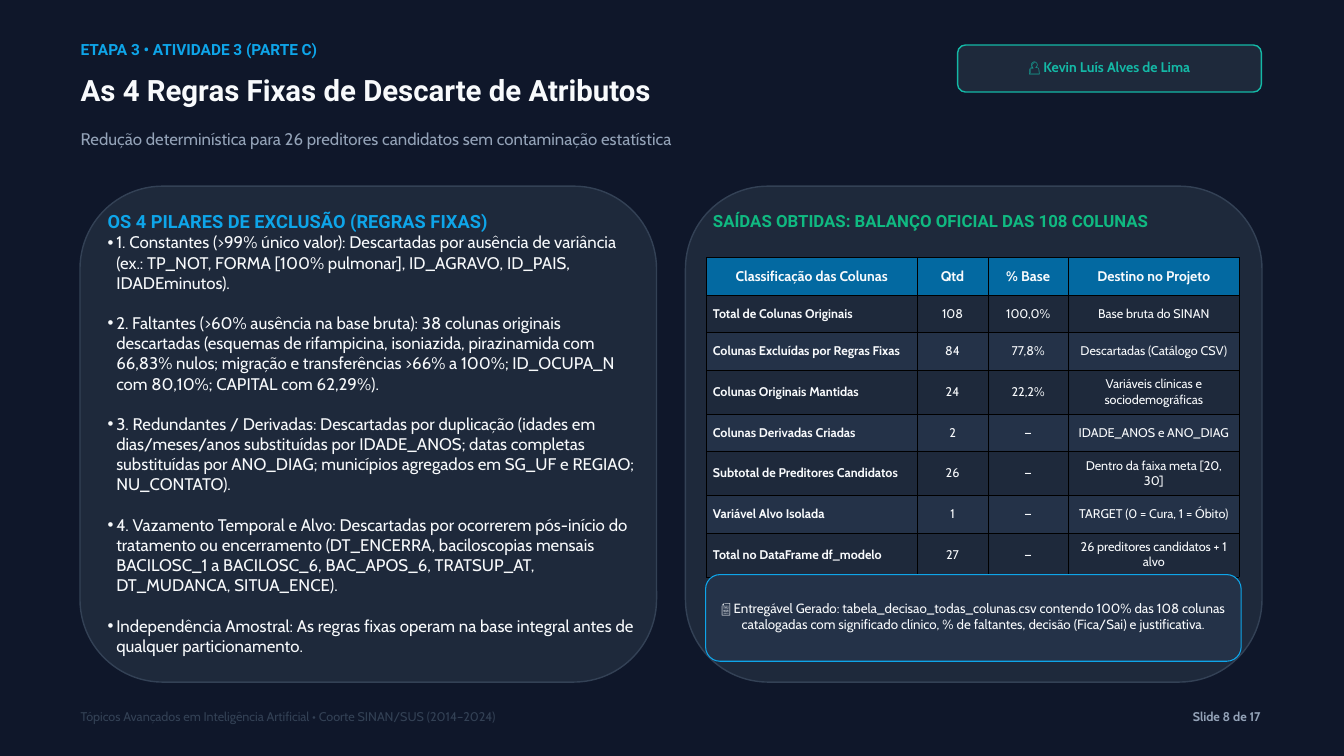
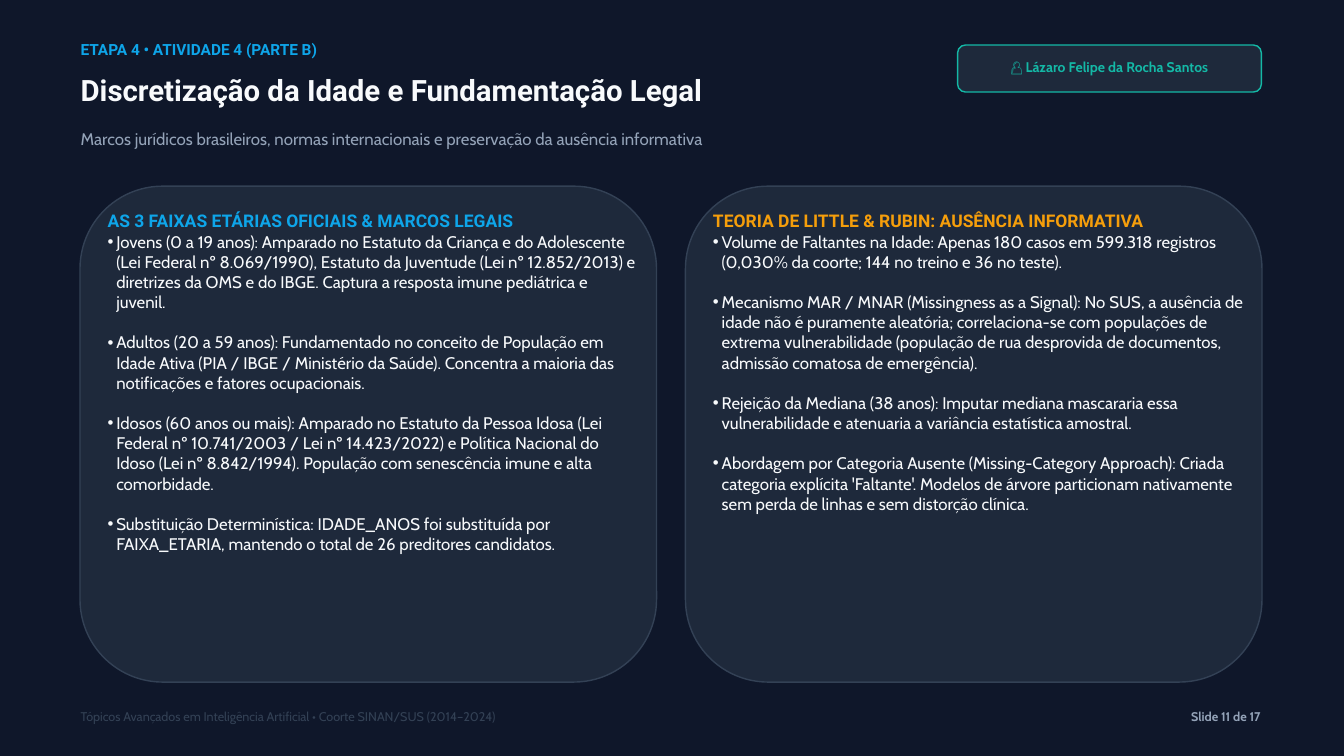
from lxml.etree import SubElement
from pptx import Presentation
from pptx.dml.color import RGBColor
from pptx.enum.shapes import MSO_SHAPE
from pptx.enum.text import MSO_ANCHOR, MSO_AUTO_SIZE, PP_ALIGN
from pptx.oxml.ns import qn
from pptx.util import Inches, Pt

COLORS = {
    "background": "0F172A",
    "card": "1E293B",
    "stripe": "243248",
    "outline": "334155",
    "header": "0369A1",
    "text": "F8FAFC",
    "muted": "94A3B8",
    "blue": "0EA5E9",
    "teal": "14B8A6",
    "green": "10B981",
    "amber": "F59E0B",
    "grid": "000000",
}
HEADING_FONT, BODY_FONT = "Roboto", "Cabin"
LINE_HEIGHT = 1.2
MARGIN = 1.2
CARD_LEFTS = (1.19, 10.2)
CARD_TOP, CARD_WIDTH, CARD_HEIGHT = 2.77, 8.58, 7.38
CARD_PADDING = 0.41
BULLET_INDENT = 0.13
TOTAL_SLIDES = 17

BALANCE_COLUMNS = (3.14, 1.05, 1.2, 2.54)
BALANCE_ROWS = [
    ("Classificação das Colunas", "Qtd", "% Base", "Destino no Projeto"),
    ("Total de Colunas Originais", "108", "100,0%", "Base bruta do SINAN"),
    ("Colunas Excluídas por Regras Fixas", "84", "77,8%", "Descartadas (Catálogo CSV)"),
    ("Colunas Originais Mantidas", "24", "22,2%", "Variáveis clínicas e sociodemográficas"),
    ("Colunas Derivadas Criadas", "2", "—", "IDADE_ANOS e ANO_DIAG"),
    ("Subtotal de Preditores Candidatos", "26", "—", "Dentro da faixa meta [20, 30]"),
    ("Variável Alvo Isolada", "1", "—", "TARGET (0 = Cura, 1 = Óbito)"),
    ("Total no DataFrame df_modelo", "27", "—", "26 preditores candidatos + 1 alvo"),
]
EXCLUSION_RULES = [
    "1. Constantes (>99% único valor): Descartadas por ausência de variância (ex.: TP_NOT, "
    "FORMA [100% pulmonar], ID_AGRAVO, ID_PAIS, IDADEminutos).",
    "2. Faltantes (>60% ausência na base bruta): 38 colunas originais descartadas (esquemas de "
    "rifampicina, isoniazida, pirazinamida com 66,83% nulos; migração e transferências >66% a "
    "100%; ID_OCUPA_N com 80,10%; CAPITAL com 62,29%).",
    "3. Redundantes / Derivadas: Descartadas por duplicação (idades em dias/meses/anos "
    "substituídas por IDADE_ANOS; datas completas substituídas por ANO_DIAG; municípios "
    "agregados em SG_UF e REGIAO; NU_CONTATO).",
    "4. Vazamento Temporal e Alvo: Descartadas por ocorrerem pós-início do tratamento ou "
    "encerramento (DT_ENCERRA, baciloscopias mensais BACILOSC_1 a BACILOSC_6, BAC_APOS_6, "
    "TRATSUP_AT, DT_MUDANCA, SITUA_ENCE).",
    "Independência Amostral: As regras fixas operam na base integral antes de qualquer "
    "particionamento.",
]
AGE_GROUPS = [
    "Jovens (0 a 19 anos): Amparado no Estatuto da Criança e do Adolescente (Lei Federal nº "
    "8.069/1990), Estatuto da Juventude (Lei nº 12.852/2013) e diretrizes da OMS e do IBGE. "
    "Captura a resposta imune pediátrica e juvenil.",
    "Adultos (20 a 59 anos): Fundamentado no conceito de População em Idade Ativa (PIA / IBGE / "
    "Ministério da Saúde). Concentra a maioria das notificações e fatores ocupacionais.",
    "Idosos (60 anos ou mais): Amparado no Estatuto da Pessoa Idosa (Lei Federal nº 10.741/2003 "
    "/ Lei nº 14.423/2022) e Política Nacional do Idoso (Lei nº 8.842/1994). População com "
    "senescência imune e alta comorbidade.",
    "Substituição Determinística: IDADE_ANOS foi substituída por FAIXA_ETARIA, mantendo o total "
    "de 26 preditores candidatos.",
]
MISSINGNESS = [
    "Volume de Faltantes na Idade: Apenas 180 casos em 599.318 registros (0,030% da coorte; 144 "
    "no treino e 36 no teste).",
    "Mecanismo MAR / MNAR (Missingness as a Signal): No SUS, a ausência de idade não é puramente "
    "aleatória; correlaciona-se com populações de extrema vulnerabilidade (população de rua "
    "desprovida de documentos, admissão comatosa de emergência).",
    "Rejeição da Mediana (38 anos): Imputar mediana mascararia essa vulnerabilidade e atenuaria "
    "a variância estatística amostral.",
    "Abordagem por Categoria Ausente (Missing-Category Approach): Criada categoria explícita "
    "'Faltante'. Modelos de árvore particionam nativamente sem perda de linhas e sem distorção "
    "clínica.",
]


def rgb(name):
    return RGBColor.from_string(COLORS[name])


def write(paragraph, text, size=18, color="text", font=BODY_FONT, bold=False,
          align=PP_ALIGN.LEFT, before=0):
    paragraph.alignment = align
    paragraph.line_spacing = Pt(size * LINE_HEIGHT)
    paragraph.space_before = Pt(before)
    run = paragraph.add_run()
    run.text = text
    run.font.size = Pt(size)
    run.font.name = font
    run.font.bold = bold
    run.font.color.rgb = rgb(color)


def set_bullet(paragraph, char=None):
    """Give the paragraph a hanging bullet, or none without a char."""
    properties = paragraph._p.get_or_add_pPr()
    indent = Inches(BULLET_INDENT) if char else 0
    properties.set("marL", str(indent))
    properties.set("indent", str(-indent))
    if char:
        SubElement(properties, qn("a:buChar")).set("char", char)
    else:
        SubElement(properties, qn("a:buNone"))


def place(shape, left, top, width, height):
    shape.left, shape.top = Inches(left), Inches(top)
    shape.width, shape.height = Inches(width), Inches(height)


def set_frame(frame, anchor=MSO_ANCHOR.TOP, insets=(0, 0, 0, 0)):
    frame.word_wrap = True
    frame.auto_size = MSO_AUTO_SIZE.NONE
    frame.vertical_anchor = anchor
    (frame.margin_left, frame.margin_top,
     frame.margin_right, frame.margin_bottom) = map(Inches, insets)


def add_label(slide, text, left, top, width, height, **style):
    label = slide.shapes.add_textbox(*map(Inches, (left, top, width, height)))
    set_frame(label.text_frame)
    write(label.text_frame.paragraphs[0], text, **style)


def add_panel(slide, left, top, width, height, fill, line, line_width=1.5):
    panel = slide.shapes.add_shape(MSO_SHAPE.ROUNDED_RECTANGLE,
                                   *map(Inches, (left, top, width, height)))
    panel.shadow.inherit = False
    panel.fill.solid()
    panel.fill.fore_color.rgb = rgb(fill)
    panel.line.color.rgb = rgb(line)
    panel.line.width = Pt(line_width)
    return panel


def add_captioned_panel(slide, text, *bounds, fill, line, line_width=1.5, **style):
    panel = add_panel(slide, *bounds, fill, line, line_width)
    set_frame(panel.text_frame, MSO_ANCHOR.MIDDLE, (0.06, 0.06, 0.06, 0.1))
    write(panel.text_frame.paragraphs[0], text, align=PP_ALIGN.CENTER, **style)


def fill_card(slide, side, heading, color, heading_size=18.75, items=()):
    """Draw the card on side 0 or 1 and put its heading and list on it."""
    left = CARD_LEFTS[side]
    card = add_panel(slide, left, CARD_TOP, CARD_WIDTH, CARD_HEIGHT, "card", "outline")
    slide.shapes.element.insert(2, card.element)  # behind the placeholders

    body = slide.placeholders[side + 1]
    place(body, left + CARD_PADDING, 3.13, 7.89, 6.45 if items else 0.5)
    frame = body.text_frame
    set_frame(frame)
    set_bullet(frame.paragraphs[0])
    write(frame.paragraphs[0], heading, size=heading_size, color=color,
          font=HEADING_FONT, bold=True)
    for number, item in enumerate(items):
        paragraph = frame.add_paragraph()
        set_bullet(paragraph, "•")
        write(paragraph, item, before=18 * LINE_HEIGHT if number else 0)


def set_borders(cell):
    properties = cell._tc.get_or_add_tcPr()
    for side in ("a:lnL", "a:lnR", "a:lnT", "a:lnB"):
        border = SubElement(properties, qn(side), w=str(Pt(0.37)))
        fill = SubElement(border, qn("a:solidFill"))
        SubElement(fill, qn("a:srgbClr"), val=COLORS["grid"])


def add_balance_table(slide):
    row_height = 0.56
    table = slide.shapes.add_table(
        len(BALANCE_ROWS), len(BALANCE_COLUMNS), Inches(10.51), Inches(3.83),
        Inches(sum(BALANCE_COLUMNS)), Inches(row_height * len(BALANCE_ROWS))).table
    table.horz_banding = False
    for column, width in zip(table.columns, BALANCE_COLUMNS):
        column.width = Inches(width)
    for r, values in enumerate(BALANCE_ROWS):
        table.rows[r].height = Inches(row_height)
        is_header = r == 0
        fill = "header" if is_header else "card" if r % 2 else "stripe"
        for c, value in enumerate(values):
            cell = table.cell(r, c)
            set_borders(cell)
            cell.fill.solid()
            cell.fill.fore_color.rgb = rgb(fill)
            cell.vertical_anchor = MSO_ANCHOR.MIDDLE
            cell.margin_left = cell.margin_right = Inches(0.1)
            cell.margin_top = cell.margin_bottom = Inches(0.1)
            is_row_name = c == 0 and not is_header
            write(cell.text_frame.paragraphs[0], value, size=15 if is_header else 13.5,
                  bold=is_header or is_row_name,
                  align=PP_ALIGN.LEFT if is_row_name else PP_ALIGN.CENTER)


def add_content_slide(prs, number, stage, title, subtitle, presenter):
    """Add a slide with the shared header, presenter badge and footer."""
    slide = prs.slides.add_slide(prs.slide_layouts.get_by_name("Two Content"))
    place(slide.shapes.title, MARGIN, 1.08, 12.76, 0.83)
    set_frame(slide.shapes.title.text_frame)
    write(slide.shapes.title.text_frame.paragraphs[0], title, size=31.5,
          font=HEADING_FONT, bold=True)
    add_label(slide, stage, MARGIN, 0.6, 12.76, 0.48, size=16.5, color="blue",
              font=HEADING_FONT, bold=True)
    add_label(slide, subtitle, MARGIN, 1.91, 12.76, 0.61, color="muted")
    add_captioned_panel(slide, f"👤 {presenter}", 14.25, 0.67, 4.52, 0.7, fill="card",
                        line="teal", size=15, color="teal", bold=True)
    add_label(slide, "Tópicos Avançados em Inteligência Artificial • Coorte SINAN/SUS (2014–2024)",
              MARGIN, 10.55, 12.01, 0.48, size=13.5, color="outline")
    add_label(slide, f"Slide {number} de {TOTAL_SLIDES}", 15.76, 10.55, 3, 0.25,
              size=13.5, color="muted", bold=True, align=PP_ALIGN.RIGHT)
    return slide


def add_rules_slide(prs):
    slide = add_content_slide(
        prs, 8, "ETAPA 3 • ATIVIDADE 3 (PARTE C)", "As 4 Regras Fixas de Descarte de Atributos",
        "Redução determinística para 26 preditores candidatos sem contaminação estatística",
        "Kevin Luís Alves de Lima")
    fill_card(slide, 0, "OS 4 PILARES DE EXCLUSÃO (REGRAS FIXAS)", "blue", 19.5, EXCLUSION_RULES)
    fill_card(slide, 1, "SAÍDAS OBTIDAS: BALANÇO OFICIAL DAS 108 COLUNAS", "green", 18)
    add_balance_table(slide)
    add_captioned_panel(
        slide, "📄 Entregável Gerado: tabela_decisao_todas_colunas.csv contendo 100% das 108 "
        "colunas catalogadas com significado clínico, % de faltantes, decisão (Fica/Sai) e "
        "justificativa.", 10.5, 8.55, 7.97, 1.29, fill="stripe", line="blue",
        line_width=1.13, size=14.25)


def add_age_slide(prs):
    slide = add_content_slide(
        prs, 11, "ETAPA 4 • ATIVIDADE 4 (PARTE B)", "Discretização da Idade e Fundamentação Legal",
        "Marcos jurídicos brasileiros, normas internacionais e preservação da ausência informativa",
        "Lázaro Felipe da Rocha Santos")
    fill_card(slide, 0, "AS 3 FAIXAS ETÁRIAS OFICIAIS & MARCOS LEGAIS", "blue", items=AGE_GROUPS)
    fill_card(slide, 1, "TEORIA DE LITTLE & RUBIN: AUSÊNCIA INFORMATIVA", "amber",
              items=MISSINGNESS)


def main():
    prs = Presentation()
    prs.slide_width, prs.slide_height = Inches(20), Inches(11.25)
    background = prs.slide_master.background.fill
    background.solid()
    background.fore_color.rgb = rgb("background")
    add_rules_slide(prs)
    add_age_slide(prs)
    prs.save("out.pptx")


if __name__ == "__main__":
    main()
